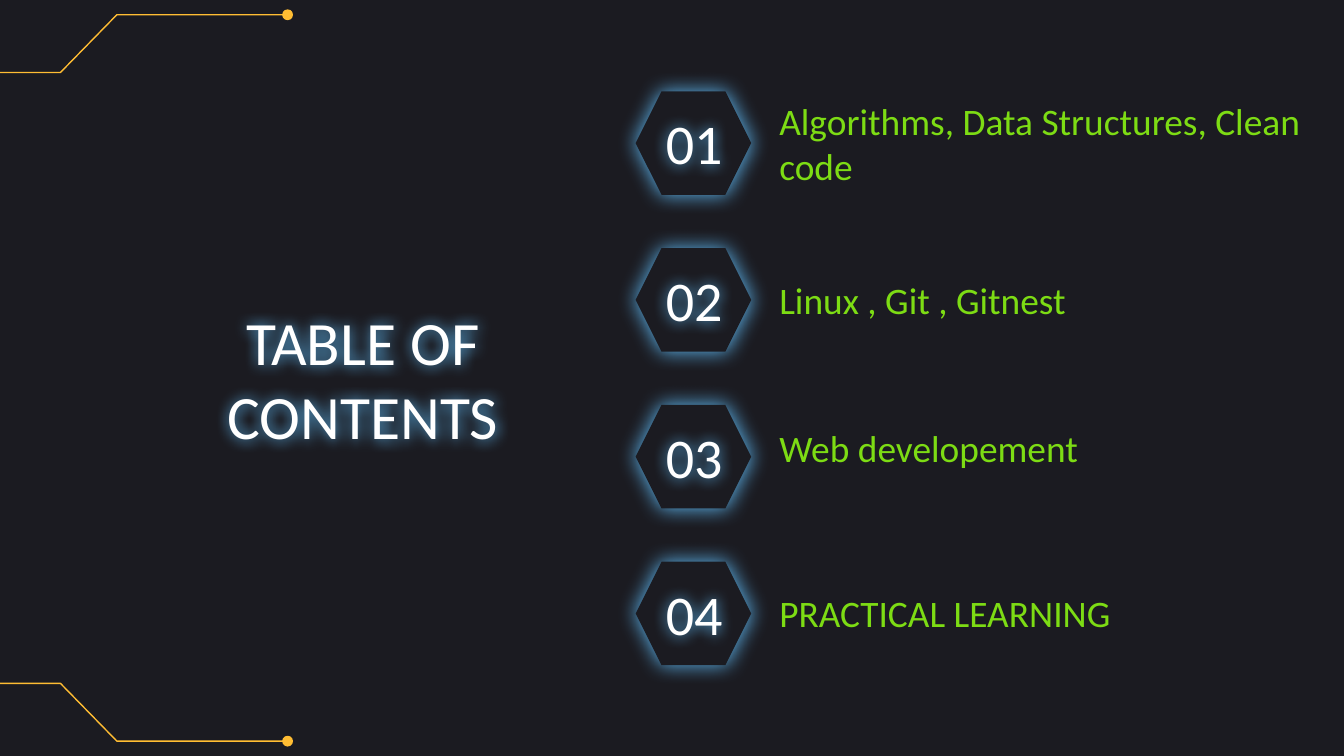
from pptx import Presentation
from pptx.dml.color import RGBColor
from pptx.enum.shapes import MSO_SHAPE as Shape
from pptx.enum.text import MSO_ANCHOR as Anchor, MSO_AUTO_SIZE as Auto, PP_ALIGN as Align
from pptx.oxml import parse_xml
from pptx.oxml.ns import nsdecls
from pptx.util import Inches, Pt

WIDE = 10
HIGH = WIDE * 9 / 16
HUES = {"dark": "1B1B21", "gold": "FFBD33", "glow": "60BBF5", "white": "FFFFFF", "green": "7DDC14"}
TITLE = "TABLE OF CONTENTS"
TOPICS = [
    ("Algorithms, Data Structures, Clean code", 0.68, 4.19, 0.77),
    ("Linux , Git , Gitnest", 2.05, 3.51, 0.36),
    ("Web developement", 3.15, 3.51, 0.36),
    ("PRACTICAL LEARNING", 4.38, 3.51, 0.36),
]
TRACE = [(-0.14, 0.54), (0.45, 0.54), (0.87, 0.11), (2.14, 0.11)]
DOT = 0.07
FIRST, STEP = 0.68, 3.5 / 3


def hue(name):
    return RGBColor.from_string(HUES[name])


def glow(shape, blur):
    shape._element.spPr.append(parse_xml(
        f'<a:effectLst {nsdecls("a")}><a:outerShdw blurRad="{Pt(blur)}" dist="0" dir="0" '
        f'algn="ctr" rotWithShape="0"><a:srgbClr val="{HUES["glow"]}"/></a:outerShdw></a:effectLst>'))


def write(box, text, size, color, align):
    frame = box.text_frame
    frame.word_wrap = True
    frame.auto_size = Auto.NONE
    frame.vertical_anchor = Anchor.MIDDLE
    frame.margin_left = frame.margin_right = Inches(0.1)
    frame.margin_top = frame.margin_bottom = Inches(0.1)
    para = frame.paragraphs[0]
    para.alignment = align
    run = para.add_run()
    run.text = text
    run.font.name = "Calibri"
    run.font.size = Pt(size)
    run.font.color.rgb = hue(color)


def add_box(slide, x, y, w, h):
    return slide.shapes.add_textbox(Inches(x), Inches(y), Inches(w), Inches(h))


def add_shape(slide, kind, x, y, w, h, fill):
    shape = slide.shapes.add_shape(kind, Inches(x), Inches(y), Inches(w), Inches(h))
    shape.fill.solid()
    shape.fill.fore_color.rgb = hue(fill)
    shape.line.fill.background()
    return shape


def gild(shape):
    shape.shadow.inherit = False
    shape.line.color.rgb = hue("gold")
    shape.line.width = Pt(0.75)


def add_trace(slide, points):
    spots = [(Inches(x), Inches(y)) for x, y in points]
    pen = slide.shapes.build_freeform(*spots[0])
    pen.add_line_segments(spots[1:], close=False)
    line = pen.convert_to_shape()
    line.fill.background()
    gild(line)
    x, y = points[-1]
    gild(add_shape(slide, Shape.OVAL, x - DOT / 2, y - DOT / 2, DOT, DOT, "gold"))


def main():
    """Build the table of contents slide."""
    deck = Presentation()
    deck.slide_width, deck.slide_height = Inches(WIDE), Inches(HIGH)
    slide = deck.slides.add_slide(deck.slide_layouts[5])
    slide.background.fill.solid()
    slide.background.fill.fore_color.rgb = hue("dark")

    add_trace(slide, TRACE)
    add_trace(slide, [(x, HIGH - y) for x, y in TRACE])

    title = slide.shapes.title
    title.left, title.top = Inches(1.23), Inches(2.11)
    title.width, title.height = Inches(2.94), Inches(1.4)
    title.fill.background()
    glow(title, 8)
    write(title, TITLE, 33, "white", Align.CENTER)

    for i, (topic, top, width, height) in enumerate(TOPICS):
        y = FIRST + i * STEP
        glow(add_shape(slide, Shape.HEXAGON, 4.73, y, 0.86, 0.77, "dark"), 11.2)
        label = add_box(slide, 4.78, y + 0.07, 0.77, 0.62)
        label.fill.background()
        glow(label, 8)
        write(label, f"{i + 1:02}", 30, "white", Align.CENTER)
        write(add_box(slide, 5.7, top, width, height), topic, 20, "green", Align.LEFT)

    deck.save("out.pptx")


if __name__ == "__main__":
    main()
